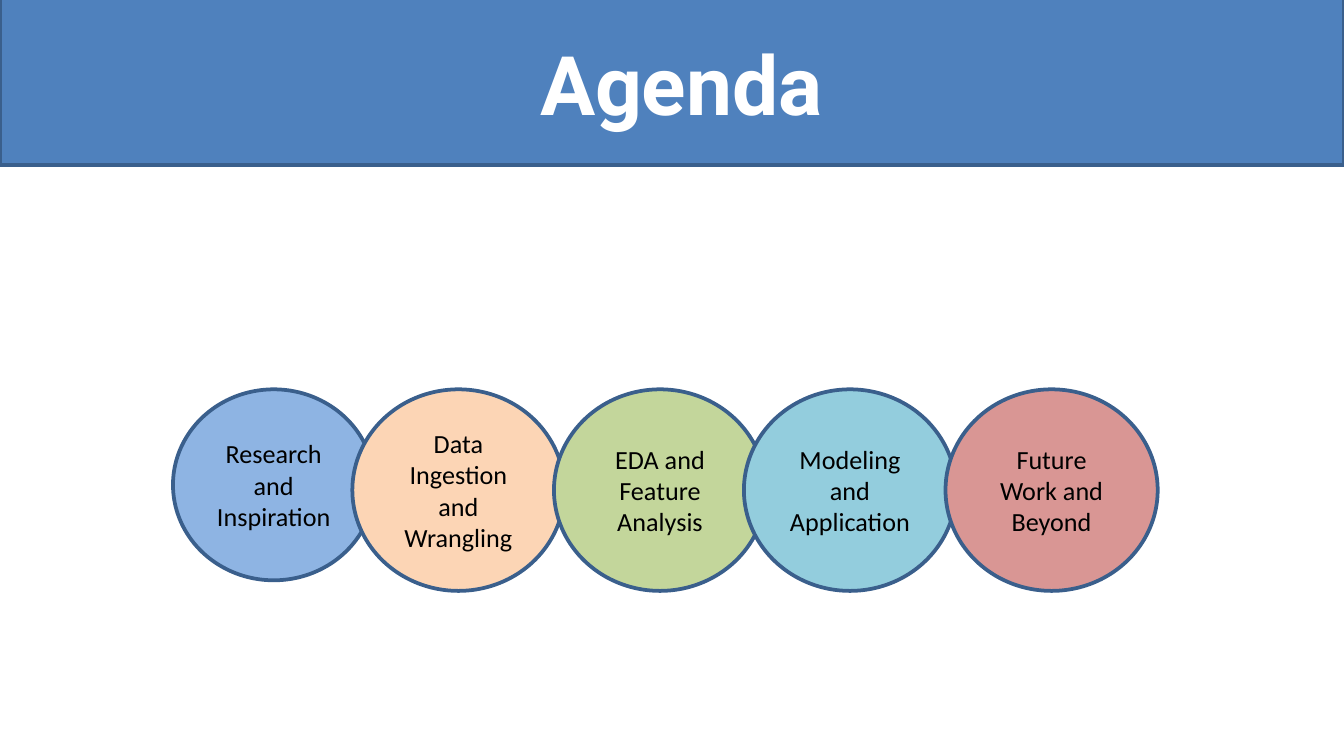
import pptx
import pptx.dml.color
import pptx.enum.shapes
import pptx.enum.text
import pptx.util
from pptx.util import Cm

COLOURS = {
    "banner": "4F81BD",
    "outline": "3A5F8C",
    "title": "FFFFFF",
    "label": "000000",
    "blue": "8EB4E3",
    "orange": "FCD5B5",
    "green": "C3D69B",
    "aqua": "93CDDD",
    "red": "D99694",
}


def colour(name):
    return pptx.dml.color.RGBColor.from_string(COLOURS[name])


class AgendaSlide:
    body_font = "Calibri"
    title_font = "Roboto"

    def __init__(self, presentation):
        self.slide = presentation.slides.add_slide(presentation.slide_layouts[6])

    def set_text(self, shape, text, font_name, size, colour_name, bold=False):
        text_frame = shape.text_frame
        text_frame.word_wrap = True
        text_frame.text = text
        paragraph = text_frame.paragraphs[0]
        paragraph.alignment = pptx.enum.text.PP_ALIGN.CENTER
        font = paragraph.runs[0].font
        font.name = font_name
        font.size = pptx.util.Pt(size)
        font.bold = bold
        font.color.rgb = colour(colour_name)
        return paragraph.runs[0]

    def add_outlined(self, kind, left, top, width, height, fill):
        shape = self.slide.shapes.add_shape(
            kind, Cm(left), Cm(top), Cm(width), Cm(height))
        shape.shadow.inherit = False
        shape.fill.solid()
        shape.fill.fore_color.rgb = colour(fill)
        shape.line.color.rgb = colour("outline")
        shape.line.width = pptx.util.Pt(2)
        return shape

    def add_banner(self, left, top, width, height):
        self.add_outlined(pptx.enum.shapes.MSO_SHAPE.RECTANGLE,
                          left, top, width, height, "banner")

    def add_circle(self, text, left, top, width, height, fill):
        shape = self.add_outlined(pptx.enum.shapes.MSO_SHAPE.OVAL,
                                  left, top, width, height, fill)
        shape.text_frame.vertical_anchor = pptx.enum.text.MSO_ANCHOR.MIDDLE
        self.set_text(shape, text, self.body_font, 14, "label")

    def add_title(self, text, left, top, width, height):
        box = self.slide.shapes.add_textbox(
            Cm(left), Cm(top), Cm(width), Cm(height))
        text_frame = box.text_frame
        text_frame.margin_left = Cm(0.33)
        text_frame.margin_top = Cm(0.06)
        text_frame.margin_right = text_frame.margin_bottom = 0
        run = self.set_text(box, text, self.title_font, 44, "title", bold=True)
        # Letter spacing in hundredths of a point
        run._r.get_or_add_rPr().set("spc", "-10")


def main():
    presentation = pptx.Presentation()
    presentation.slide_width = Cm(25.4)
    presentation.slide_height = Cm(14.29)
    agenda = AgendaSlide(presentation)

    # Title banner
    agenda.add_banner(0, -0.25, 25.4, 3.37)
    agenda.add_title("Agenda", 0.43, 0.58, 24.56, 1.91)

    # Overlapping circles, each in front of the one before; the first is smaller
    first_size, size = (3.81, 3.61), (4.01, 3.81)
    steps = [
        ("Research and Inspiration", 3.27, first_size, "blue"),
        ("Data Ingestion and Wrangling", 6.66, size, "orange"),
        ("EDA and Feature Analysis", 10.47, size, "green"),
        ("Modeling and Application", 14.06, size, "aqua"),
        ("Future Work and Beyond", 17.87, size, "red"),
    ]
    for text, left, (width, height), fill in steps:
        agenda.add_circle(text, left, 7.36, width, height, fill)

    presentation.save("out.pptx")


if __name__ == "__main__":
    main()
